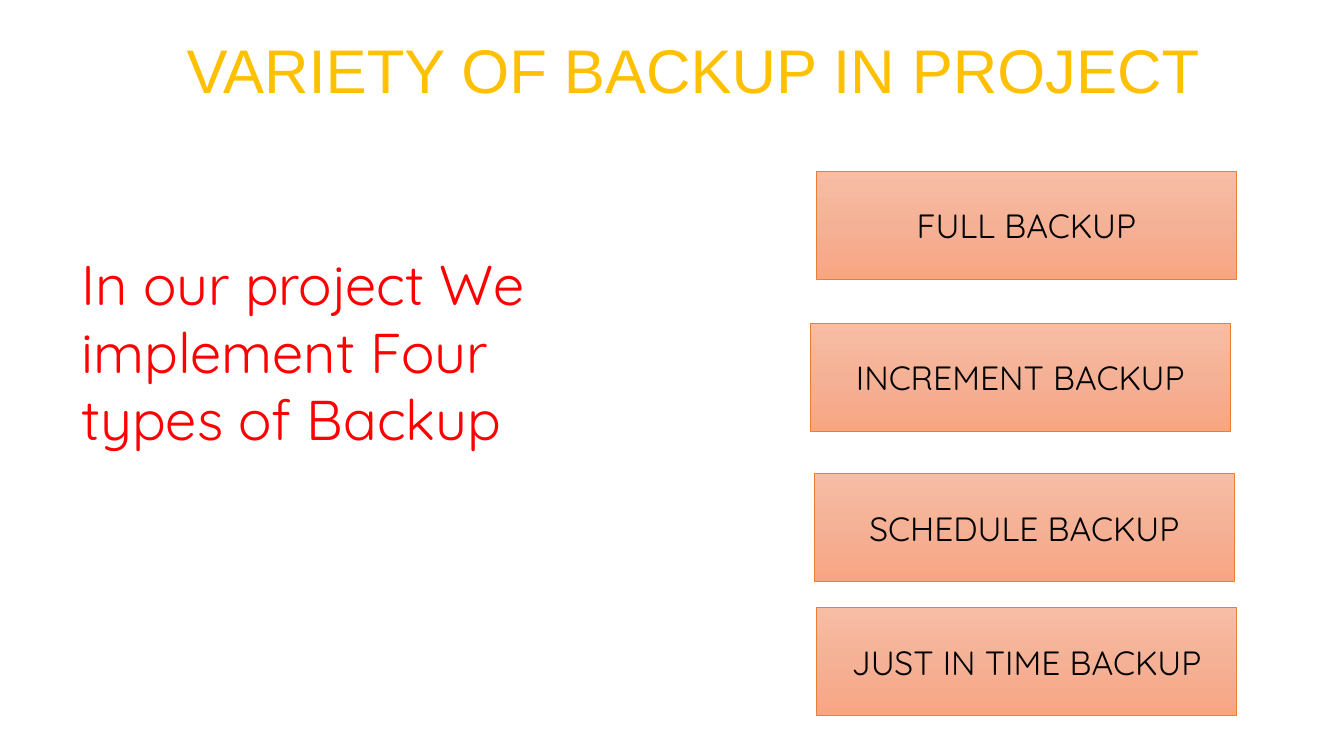
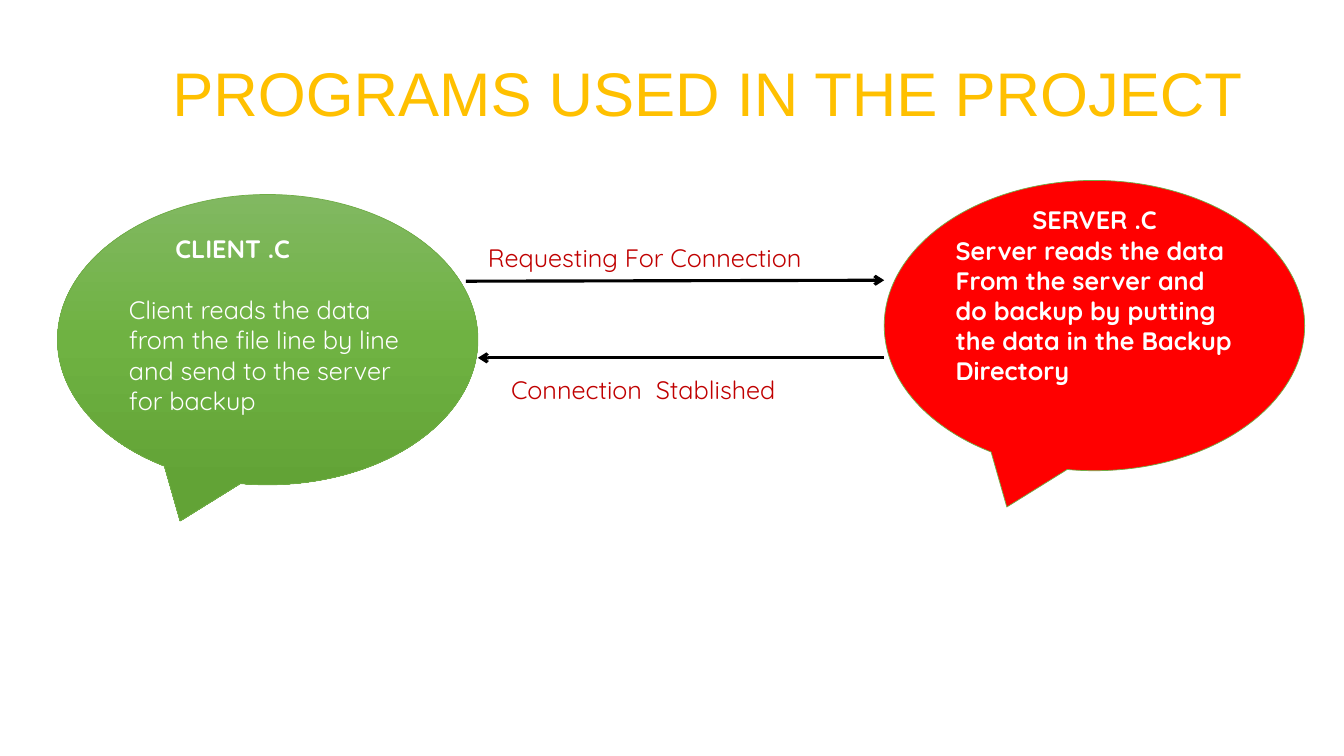
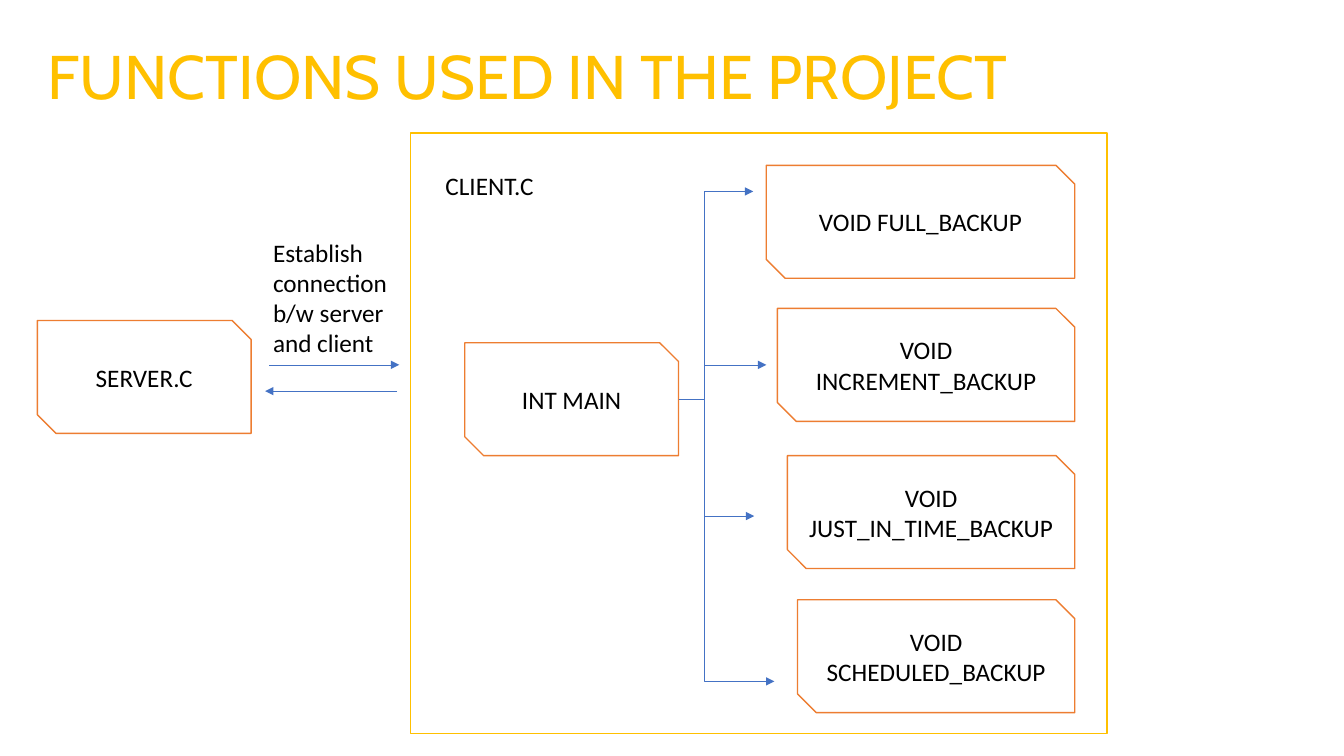
from copy import deepcopy

from lxml import etree
from pptx import Presentation
from pptx.dml.color import RGBColor
from pptx.enum.shapes import MSO_CONNECTOR, MSO_SHAPE
from pptx.enum.text import MSO_ANCHOR, MSO_AUTO_SIZE, PP_ALIGN
from pptx.oxml.ns import qn
from pptx.util import Inches, Pt

RECT = MSO_SHAPE.RECTANGLE
CALLOUT = MSO_SHAPE.OVAL_CALLOUT
SNIPPED = MSO_SHAPE.SNIP_2_DIAG_RECTANGLE
STRAIGHT, ELBOW = MSO_CONNECTOR.STRAIGHT, MSO_CONNECTOR.ELBOW
TOP, MIDDLE = MSO_ANCHOR.TOP, MSO_ANCHOR.MIDDLE
LEFT, CENTER = PP_ALIGN.LEFT, PP_ALIGN.CENTER
GROW, FIXED = MSO_AUTO_SIZE.SHAPE_TO_FIT_TEXT, MSO_AUTO_SIZE.NONE

COLORS = {
    "gold": "FFC000", "orange": "ED7D31", "green": "70AD47", "blue": "4472C4",
    "red": "FF0000", "dark_red": "C00000", "black": "000000", "white": "FFFFFF",
}
GRADIENTS = {
    "peach": ("F7BDA5", "F5B196", "F8A582"),
    "leaf": ("81B861", "6FB242", "62A336"),
}
TITLE_ONLY = 5


def rgb(name):
    return RGBColor.from_string(COLORS[name])


def write(paragraph, text, font="Calibri", size=18, color="black", bold=False,
          align=LEFT, indent=0, before=0):
    """Fill one paragraph; indent is in inches, before in points."""
    paragraph.alignment = align
    paragraph.space_before = Pt(before)
    if indent:
        paragraph._p.get_or_add_pPr().set("marL", str(Inches(indent)))
    run = paragraph.add_run()
    run.text = text
    run.font.name = font
    run.font.size = Pt(size)
    run.font.bold = bold
    run.font.color.rgb = rgb(color)


def add_titled_slide(prs, text, left, top, font="Arial"):
    slide = prs.slides.add_slide(prs.slide_layouts[TITLE_ONLY])
    title = slide.shapes.title
    title.left, title.top = Inches(left), Inches(top)
    title.width, title.height = Inches(11.5), Inches(1.45)
    frame = title.text_frame
    frame.auto_size = FIXED
    frame.word_wrap = True
    frame.vertical_anchor = MIDDLE
    frame.paragraphs[0].line_spacing = 0.9
    write(frame.paragraphs[0], text, font=font, size=44, color="gold")
    return slide


def fill_gradient(shape, shades):
    """Vertical gradient with evenly spaced shades."""
    shape.fill.gradient()
    shape.fill.gradient_angle = 270
    stop_list = shape._element.spPr.find(".//" + qn("a:gsLst"))
    while len(stop_list) < len(shades):
        stop_list.append(deepcopy(stop_list[0]))
    for i, (stop, shade) in enumerate(zip(shape.fill.gradient_stops, shades)):
        stop.color.rgb = RGBColor.from_string(shade)
        stop.position = i / (len(shades) - 1)


def add_box(slide, kind, box, fill=None, line="orange", weight=1.0):
    shape = slide.shapes.add_shape(kind, *map(Inches, box))
    shape.shadow.inherit = False
    if fill in GRADIENTS:
        fill_gradient(shape, GRADIENTS[fill])
    elif fill:
        shape.fill.solid()
        shape.fill.fore_color.rgb = rgb(fill)
    else:
        shape.fill.background()
    shape.line.color.rgb = rgb(line)
    shape.line.width = Pt(weight)
    shape.text_frame.word_wrap = True
    shape.text_frame.vertical_anchor = MIDDLE
    return shape


def add_label_box(slide, kind, box, text, fill, weight, **style):
    shape = add_box(slide, kind, box, fill, weight=weight)
    write(shape.text_frame.paragraphs[0], text, align=CENTER, **style)


def add_callout(slide, box, fill, paragraphs, bottom_inset):
    """Speech bubble; paragraphs are pairs of text and format."""
    shape = add_box(slide, CALLOUT, box, fill, line="green", weight=0.5)
    frame = shape.text_frame
    frame.margin_bottom = Inches(bottom_inset)
    for i, (text, style) in enumerate(paragraphs):
        paragraph = frame.add_paragraph() if i else frame.paragraphs[0]
        write(paragraph, text, font="Quicksand", color="white", **style)


def add_text(slide, box, text, **style):
    frame = slide.shapes.add_textbox(*map(Inches, box)).text_frame
    frame.word_wrap = True
    frame.auto_size = GROW
    frame.vertical_anchor = TOP
    write(frame.paragraphs[0], text, **style)


def add_line(slide, start, end, color="blue", weight=0.5, head="triangle", kind=STRAIGHT):
    """Connector with an optional arrowhead; an elbow runs vertically first."""
    line = slide.shapes.add_connector(kind, *map(Inches, (*start, *end)))
    line.line.color.rgb = rgb(color)
    line.line.width = Pt(weight)
    properties = line._element.spPr
    if head:
        etree.SubElement(line.line._get_or_add_ln(), qn("a:tailEnd"), type=head)
    if kind == ELBOW:
        adjustments = properties.find(qn("a:prstGeom")).get_or_add_avLst()
        etree.SubElement(adjustments, qn("a:gd"), name="adj1", fmla="val 0")
    etree.SubElement(properties, qn("a:effectLst"))


def build_backup_types(prs):
    slide = add_titled_slide(prs, "VARIETY OF BACKUP IN PROJECT", 1.75, 0)
    for text, left, top in (
        ("FULL BACKUP", 8.1, 1.7),
        ("INCREMENT BACKUP", 8.04, 3.21),
        ("SCHEDULE BACKUP", 8.08, 4.7),
        ("JUST IN TIME BACKUP", 8.1, 6.03),
    ):
        add_label_box(slide, RECT, (left, top, 4.16, 1.07), text, "peach", 0.5,
                      font="Quicksand", size=24)
    add_text(slide, (0.71, 2.43, 4.6, 2.79),
             "In our project We implement Four types of Backup",
             font="Quicksand", size=40, color="red")


def build_programs(prs):
    slide = add_titled_slide(prs, "PROGRAMS USED IN THE PROJECT", 1.61, 0.23)
    add_callout(slide, (0.57, 1.93, 4.17, 2.88), "leaf", (
        ("CLIENT .C", {"bold": True, "indent": 0.46}),
        ("Client reads the data from the file line by line and send to the "
         "server for backup", {"before": 22}),
    ), bottom_inset=0.35)
    add_callout(slide, (8.77, 1.79, 4.17, 2.88), "red", (
        ("SERVER .C", {"bold": True, "indent": 0.76}),
        ("Server reads the data", {"bold": True}),
        ("From the server and do backup by putting the data in the Backup "
         "Directory", {"bold": True}),
    ), bottom_inset=0.65)
    for start, end, text, left, top in (
        ((4.62, 2.79), (8.77, 2.78), "Requesting For Connection", 4.74, 2.35),
        ((8.77, 3.55), (4.74, 3.55), "Connection  Stablished", 4.97, 3.66),
    ):
        add_line(slide, start, end, color="black", weight=2.25, head="arrow")
        add_text(slide, (left, top, 3.92, 0.4), text, font="Quicksand", color="dark_red")


def build_functions(prs):
    slide = add_titled_slide(prs, "FUNCTIONS USED IN THE PROJECT", 0.37, 0.06, font="Cabin")
    functions_right, trunk_x, trunk_y = 10.66, 6.99, 3.96
    for text, left, top, width in (
        ("SERVER.C", 0.37, 3.18, 2.12),
        ("INT MAIN", 4.61, 3.4, 2.12),
        ("VOID FULL_BACKUP", 7.6, 1.64, None),
        ("VOID INCREMENT_BACKUP", 7.71, 3.06, None),
        ("VOID JUST_IN_TIME_BACKUP", 7.81, 4.52, None),
        ("VOID SCHEDULED_BACKUP", 7.91, 5.95, None),
    ):
        box = (left, top, width or functions_right - left, 1.12)
        add_label_box(slide, SNIPPED, box, text, "white", 1)
    add_box(slide, RECT, (4.07, 1.32, 6.91, 5.96), line="gold")

    add_line(slide, (2.67, 3.62), (3.96, 3.62))
    add_line(slide, (3.94, 3.88), (2.63, 3.88))
    add_line(slide, (6.73, trunk_y), (trunk_x, trunk_y), head=None)
    add_line(slide, (trunk_x, 3.62), (7.6, 3.62))
    for tip in ((7.47, 1.9), (7.48, 5.12), (7.68, 6.76)):
        add_line(slide, (trunk_x, trunk_y), tip, kind=ELBOW)

    add_text(slide, (2.61, 2.3, 1.4, 1.31), "Establish connection b/w server and client")
    add_text(slide, (4.32, 1.64, 2.24, 0.4), "CLIENT.C")


def main():
    prs = Presentation()
    prs.slide_width, prs.slide_height = Inches(13.33), Inches(7.5)
    build_backup_types(prs)
    build_programs(prs)
    build_functions(prs)
    prs.save("out.pptx")


if __name__ == "__main__":
    main()
